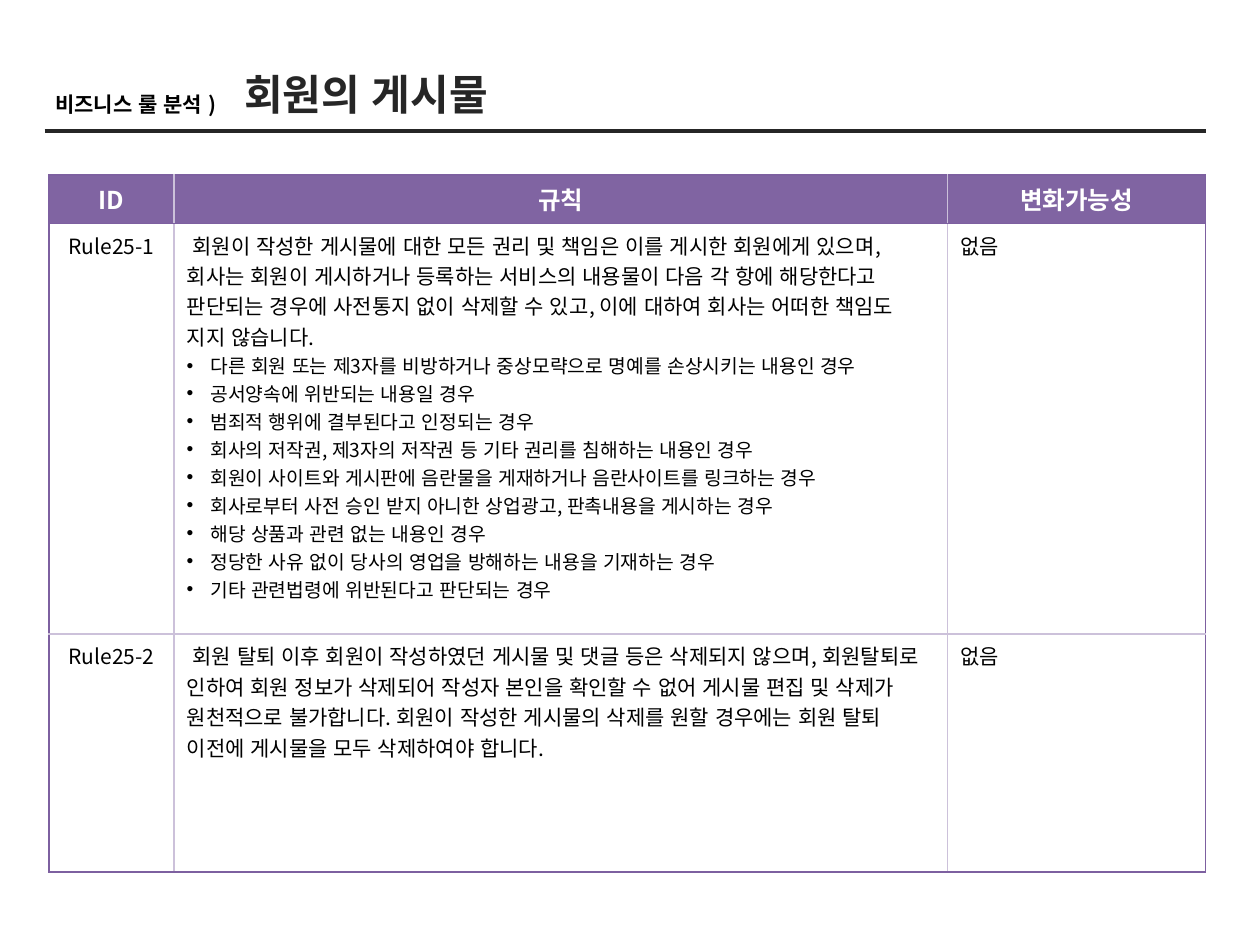
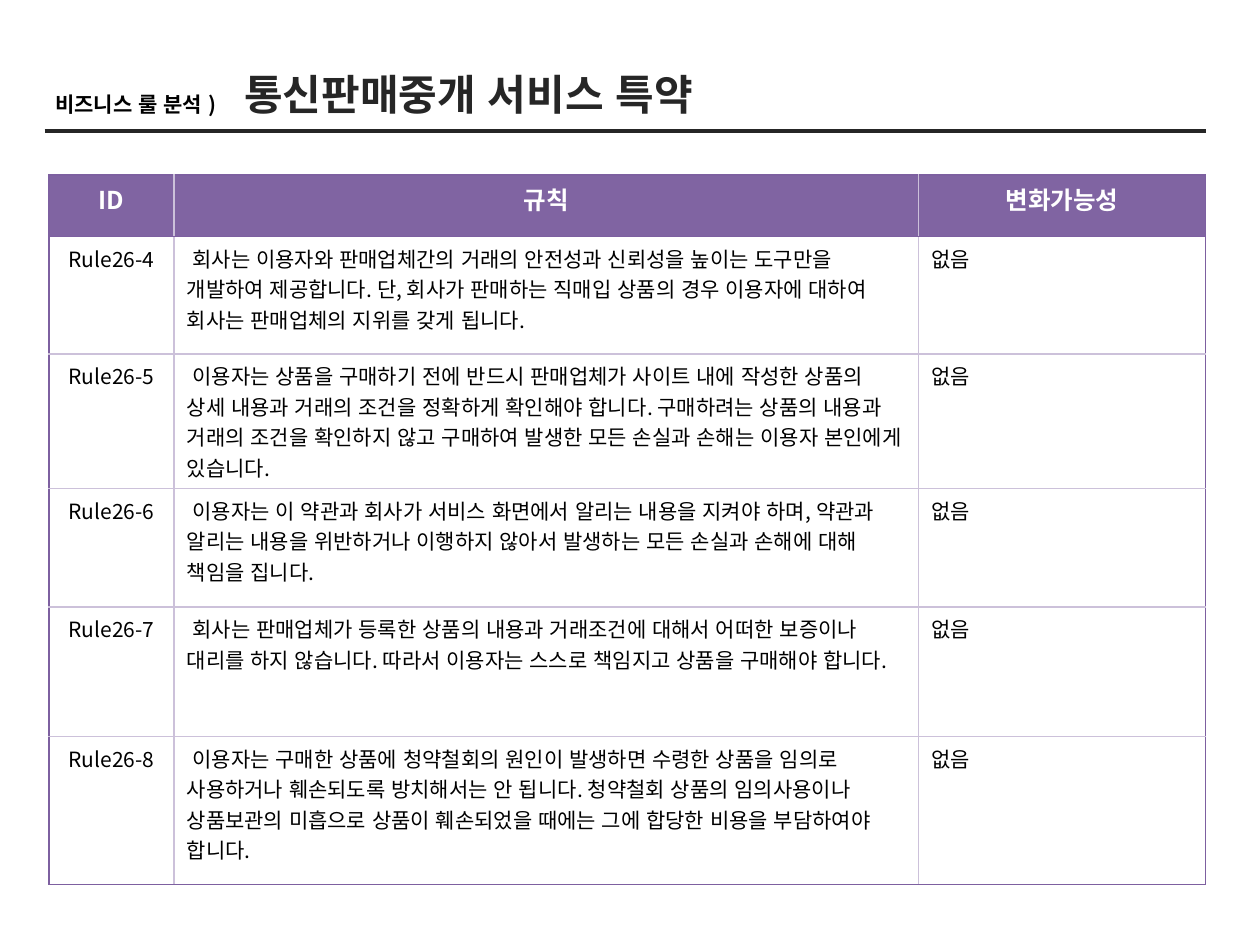
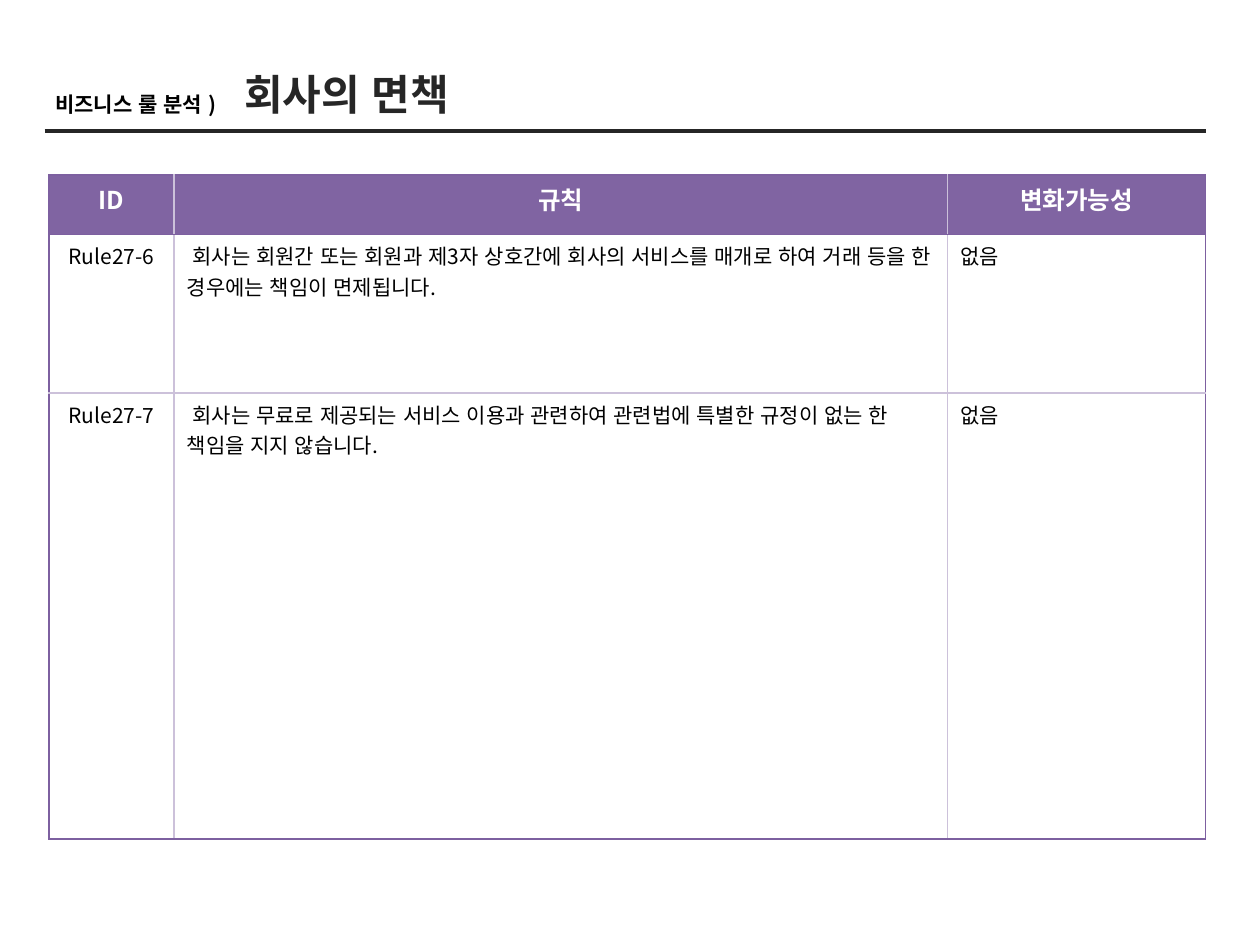
"""Build the business rule analysis slides: a title band and a rule table on each."""
from lxml import etree
from pptx import Presentation
from pptx.dml.color import RGBColor
from pptx.enum import lang, shapes, text
from pptx.oxml import ns
from pptx.util import Pt

BLACK, WHITE, DARK = "000000", "FFFFFF", "262626"
HEADER, OUTER, INNER = "8064A2", "7D60A0", "CCC1DA"
BODY_FONT, TITLE_FONT = "Noto Sans CJK KR", "Arial"
SECTION = "비즈니스 룰 분석 )"
HEADINGS = ("ID", "규칙", "변화가능성")
CHANGE = "없음"
TABLE_LEFT, TABLE_TOP, TABLE_WIDTH, ID_WIDTH = 28, 100, 661, 71.5
BULLET_INDENT = 13.5

SLIDES = [
    {
        "title": "회원의 게시물", "title_width": 168.5, "change_width": 147.5,
        "heights": (26, 234.7, 136),
        "rules": [
            ("Rule25-1",
             " 회원이 작성한 게시물에 대한 모든 권리 및 책임은 이를 게시한 회원에게 있으며, "
             "회사는 회원이 게시하거나 등록하는 서비스의 내용물이 다음 각 항에 해당한다고 "
             "판단되는 경우에 사전통지 없이 삭제할 수 있고, 이에 대하여 회사는 어떠한 책임도 "
             "지지 않습니다.",
             ["다른 회원 또는 제3자를 비방하거나 중상모략으로 명예를 손상시키는 내용인 경우",
              "공서양속에 위반되는 내용일 경우",
              "범죄적 행위에 결부된다고 인정되는 경우",
              "회사의 저작권, 제3자의 저작권 등 기타 권리를 침해하는 내용인 경우",
              "회원이 사이트와 게시판에 음란물을 게재하거나 음란사이트를 링크하는 경우",
              "회사로부터 사전 승인 받지 아니한 상업광고, 판촉내용을 게시하는 경우",
              "해당 상품과 관련 없는 내용인 경우",
              "정당한 사유 없이 당사의 영업을 방해하는 내용을 기재하는 경우",
              "기타 관련법령에 위반된다고 판단되는 경우"]),
            ("Rule25-2",
             " 회원 탈퇴 이후 회원이 작성하였던 게시물 및 댓글 등은 삭제되지 않으며, 회원탈퇴로 "
             "인하여 회원 정보가 삭제되어 작성자 본인을 확인할 수 없어 게시물 편집 및 삭제가 "
             "원천적으로 불가합니다. 회원이 작성한 게시물의 삭제를 원할 경우에는 회원 탈퇴 "
             "이전에 게시물을 모두 삭제하여야 합니다.", []),
        ],
    },
    {
        "title": "통신판매중개 서비스 특약", "title_width": 298, "change_width": 164,
        "heights": (35.3, 67, 73.4, 67.7, 74.2, 84.2),
        "rules": [
            ("Rule26-4",
             " 회사는 이용자와 판매업체간의 거래의 안전성과 신뢰성을 높이는 도구만을 "
             "개발하여 제공합니다. 단, 회사가 판매하는 직매입 상품의 경우 이용자에 대하여 "
             "회사는 판매업체의 지위를 갖게 됩니다.", []),
            ("Rule26-5",
             " 이용자는 상품을 구매하기 전에 반드시 판매업체가 사이트 내에 작성한 상품의 "
             "상세 내용과 거래의 조건을 정확하게 확인해야 합니다. 구매하려는 상품의 내용과 "
             "거래의 조건을 확인하지 않고 구매하여 발생한 모든 손실과 손해는 이용자 본인에게 "
             "있습니다.", []),
            ("Rule26-6",
             " 이용자는 이 약관과 회사가 서비스 화면에서 알리는 내용을 지켜야 하며, 약관과 "
             "알리는 내용을 위반하거나 이행하지 않아서 발생하는 모든 손실과 손해에 대해 "
             "책임을 집니다.", []),
            ("Rule26-7",
             " 회사는 판매업체가 등록한 상품의 내용과 거래조건에 대해서 어떠한 보증이나 "
             "대리를 하지 않습니다. 따라서 이용자는 스스로 책임지고 상품을 구매해야 합니다.", []),
            ("Rule26-8",
             " 이용자는 구매한 상품에 청약철회의 원인이 발생하면 수령한 상품을 임의로 "
             "사용하거나 훼손되도록 방치해서는 안 됩니다. 청약철회 상품의 임의사용이나 "
             "상품보관의 미흡으로 상품이 훼손되었을 때에는 그에 합당한 비용을 부담하여야 "
             "합니다.", []),
        ],
    },
    {
        "title": "회사의 면책", "title_width": 144, "change_width": 147.5,
        "heights": (33.8, 90.7, 255),
        "rules": [
            ("Rule27-6",
             " 회사는 회원간 또는 회원과 제3자 상호간에 회사의 서비스를 매개로 하여 거래 등을 "
             "한 경우에는 책임이 면제됩니다.", []),
            ("Rule27-7",
             " 회사는 무료로 제공되는 서비스 이용과 관련하여 관련법에 특별한 규정이 없는 한 "
             "책임을 지지 않습니다.", []),
        ],
    },
]


def color(value):
    """Turn a hex string into a colour."""
    return RGBColor.from_string(value)


def add_run(p, words, size, ink=BLACK, bold=False, font=BODY_FONT):
    """Add one formatted run to a paragraph."""
    r = p.add_run()
    r.text = words
    r.font.name, r.font.size, r.font.bold = font, Pt(size), bold
    r.font.color.rgb = color(ink)
    r.font.language_id = lang.MSO_LANGUAGE_ID.KOREAN


def add_bullet(p):
    """Give a paragraph a hanging round bullet."""
    pPr = p._p.get_or_add_pPr()
    pPr.set("marL", str(Pt(BULLET_INDENT)))
    pPr.set("indent", str(-Pt(BULLET_INDENT)))
    etree.SubElement(pPr, ns.qn("a:buFont"), typeface="Arial")
    etree.SubElement(pPr, ns.qn("a:buChar"), char="•")


def add_label(s, words, left, top, width, height, size, ink, font):
    """Add a bold single-line text box."""
    sp = s.shapes.add_textbox(Pt(left), Pt(top), Pt(width), Pt(height))
    tf = sp.text_frame
    tf.word_wrap = False
    tf.auto_size = text.MSO_AUTO_SIZE.SHAPE_TO_FIT_TEXT
    add_run(tf.paragraphs[0], words, size, ink, True, font)


def add_title_band(s, title, width):
    """Add the rule line, the section label and the slide title."""
    line = s.shapes.add_connector(
        shapes.MSO_CONNECTOR.STRAIGHT, Pt(25.5), Pt(75), Pt(689), Pt(75))
    line.line.color.rgb = color(DARK)
    line.line.width = Pt(2.25)
    etree.SubElement(line._element.spPr, ns.qn("a:effectLst"))
    add_label(s, SECTION, 24.5, 49, 116.5, 21.8, 12, BLACK, BODY_FONT)
    add_label(s, title, 132.5, 35.5, width, 36.4, 24, DARK, TITLE_FONT)


def set_borders(cell, outer_sides):
    """Draw the cell borders, with the outer style on the given sides."""
    tcPr = cell._tc.get_or_add_tcPr()
    for i, side in enumerate("LRTB"):
        ink, width = (OUTER, 0.75) if side in outer_sides else (INNER, 1)
        ln = etree.Element(ns.qn(f"a:ln{side}"), w=str(Pt(width)))
        fill = etree.SubElement(ln, ns.qn("a:solidFill"))
        etree.SubElement(fill, ns.qn("a:srgbClr"), val=ink)
        tcPr.insert(i, ln)


def outer_sides(row, col, last_row, last_col):
    """List the sides of a cell on the table edge or along the header."""
    tests = {"L": col == 0, "R": col == last_col,
             "T": row <= 1, "B": row in (0, last_row)}
    return [side for side, is_outer in tests.items() if is_outer]


def fill_cell(cell, words, row, col, bullets=()):
    """Fill a header or body cell with its text and any bullets."""
    is_header = row == 0
    cell.fill.solid()
    cell.fill.fore_color.rgb = color(HEADER if is_header else WHITE)
    tf = cell.text_frame
    p = tf.paragraphs[0]
    if is_header or col == 0:
        p.alignment = text.PP_ALIGN.CENTER
    if is_header:
        add_run(p, words, 14, WHITE, True)
    else:
        add_run(p, words, 12)
    for bullet in bullets:
        p = tf.add_paragraph()
        add_bullet(p)
        add_run(p, bullet, 11)


def add_rule_table(s, rules, heights, change_width):
    """Add the table of rules with its header row."""
    rows = [(HEADINGS, ())]
    rows += [((rule_id, rule, CHANGE), bullets) for rule_id, rule, bullets in rules]
    frame = s.shapes.add_table(len(rows), len(HEADINGS), Pt(TABLE_LEFT), Pt(TABLE_TOP),
                               Pt(TABLE_WIDTH), Pt(sum(heights)))
    table = frame.table
    table.horz_banding = False
    widths = (ID_WIDTH, TABLE_WIDTH - ID_WIDTH - change_width, change_width)
    for column, width in zip(table.columns, widths):
        column.width = Pt(width)
    for i, (values, bullets) in enumerate(rows):
        table.rows[i].height = Pt(heights[i])
        for j, words in enumerate(values):
            cell = table.cell(i, j)
            fill_cell(cell, words, i, j, bullets if j == 1 else ())
            set_borders(cell, outer_sides(i, j, len(rows) - 1, len(values) - 1))


def main():
    """Build and save the presentation."""
    prs = Presentation()
    prs.slide_width, prs.slide_height = Pt(720), Pt(540)
    for content in SLIDES:
        s = prs.slides.add_slide(prs.slide_layouts[6])
        add_rule_table(s, content["rules"], content["heights"], content["change_width"])
        add_title_band(s, content["title"], content["title_width"])
    prs.save("out.pptx")


if __name__ == "__main__":
    main()
